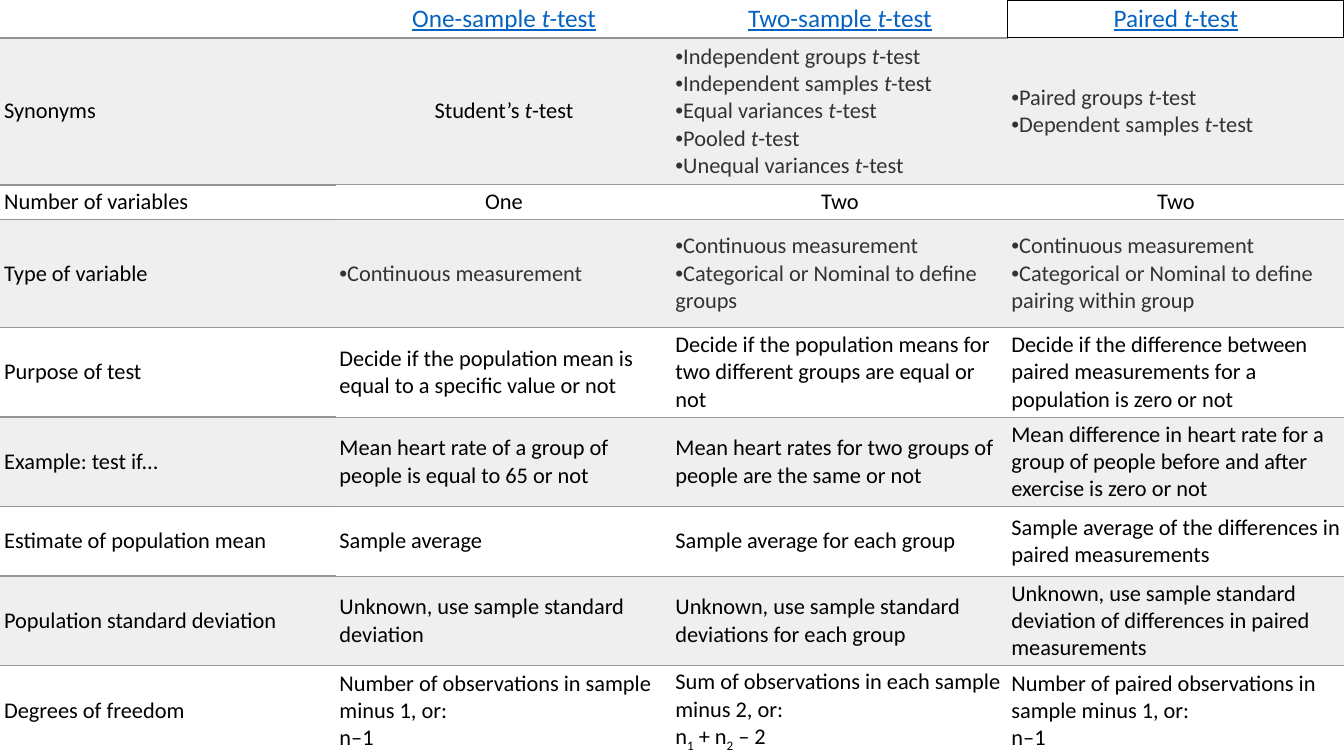
from lxml.etree import SubElement
from pptx import Presentation
from pptx.dml.color import RGBColor
from pptx.enum.text import MSO_ANCHOR, PP_ALIGN
from pptx.oxml.ns import qn
from pptx.util import Pt

COLORS = {
    "link": "0563C1", "text": "000000", "bullet": "333333",
    "band": "EFEFEF", "rule": "999999", "strong_rule": "929496", "frame": "000000",
}
FONT = "Calibri"
COLUMN_WIDTH = 240
ROW_HEIGHTS = [27, 105, 25, 77, 64, 64, 49.5, 64, 62.5]

# Inline marks: *italic*, _subscript_; a line that starts with "•" is a bullet.
ROWS = [
    ["", "One-sample\u00a0*t-*test", "Two-sample\u00a0*t-*test", "Paired\u00a0*t-*test"],
    ["Synonyms",
     "Student’s\u00a0*t*-test",
     ["•Independent groups\u00a0*t*-test", "•Independent samples\u00a0*t-*test",
      "•Equal variances\u00a0*t*-test", "•Pooled\u00a0*t*-test",
      "•Unequal variances\u00a0*t*-test"],
     ["•Paired groups\u00a0*t-*test", "•Dependent samples\u00a0*t*-test"]],
    ["Number of variables", "One", "Two", "Two"],
    ["Type of variable",
     "•Continuous measurement",
     ["•Continuous measurement", "•Categorical or Nominal to define groups"],
     ["•Continuous measurement", "•Categorical or Nominal to define pairing within group"]],
    ["Purpose of test",
     "Decide if the population mean is equal to a specific value or not",
     "Decide if the population means for two different groups are equal or not",
     "Decide if the difference between paired measurements for a population is zero or not"],
    ["Example: test if...",
     "Mean heart rate of a group of people is equal to 65 or not",
     "Mean heart rates for two groups of people are the same or not",
     "Mean difference in heart rate for a group of people before and after exercise "
     "is zero or not"],
    ["Estimate of population mean",
     "Sample average",
     "Sample average for each group",
     "Sample average of the differences in paired measurements"],
    ["Population standard deviation",
     "Unknown, use sample standard deviation",
     "Unknown, use sample standard deviations for each group",
     "Unknown, use sample standard deviation of differences in paired measurements"],
    ["Degrees of freedom",
     "Number of observations in sample minus 1, or:\nn–1",
     "Sum of observations in each sample minus 2, or:\nn_1_\u00a0+ n_2_\u00a0– 2",
     "Number of paired observations in sample minus 1, or:\nn–1"],
]
CENTERED = {(1, 1), (2, 1), (2, 2), (2, 3)}


def split_marks(text):
    """Yield (piece, italic, subscript) for text with inline marks."""
    for i, outer in enumerate(text.split("*")):
        for j, piece in enumerate(outer.split("_")):
            if piece:
                yield piece, i % 2 == 1, j % 2 == 1


def write_text(paragraph, text, size=16, color="text", underline=False, align=PP_ALIGN.LEFT):
    """Fill a paragraph with formatted runs and line breaks."""
    paragraph.alignment = align
    paragraph.font.size = Pt(size)
    for piece, italic, subscript in split_marks(text):
        for index, line in enumerate(piece.split("\n")):
            if index:
                paragraph.add_line_break()
            run = paragraph.add_run()
            run.text = line
            run.font.name = FONT
            run.font.size = Pt(size)
            run.font.italic = italic
            run.font.underline = underline
            run.font.color.rgb = RGBColor.from_string(COLORS[color])
            if subscript:
                run.font._element.set("baseline", "-25000")


def add_bullet(paragraph):
    """Give a paragraph a bullet that sits right before its text."""
    properties = paragraph._p.get_or_add_pPr()
    properties.set("marL", "0")
    properties.set("indent", "0")
    SubElement(properties, qn("a:buFont"), typeface="Arial")
    SubElement(properties, qn("a:buChar"), char="•")


def set_border(cell, side, rule):
    """Draw one cell side as (color name, width), or clear it for None."""
    width = rule[1] if rule else 0
    line = SubElement(cell._tc.get_or_add_tcPr(), qn(f"a:ln{side}"), w=str(Pt(width)))
    if rule:
        fill = SubElement(line, qn("a:solidFill"))
        SubElement(fill, qn("a:srgbClr"), val=COLORS[rule[0]])
    else:
        SubElement(line, qn("a:noFill"))


def rule_below(row, column):
    """Return the rule under a row; row -1 is the top edge of the table."""
    if column == 3 and row < 1:
        return "frame", 0.75
    if row < 0:
        return None
    if row == 0 or column == 0:
        return "strong_rule", 1.2
    return "rule", 0.6


def style_cell(cell, row, column):
    """Set margins, borders and band fill of a cell."""
    cell.vertical_anchor = MSO_ANCHOR.MIDDLE
    side_margin = 3 if row == 0 or column == 0 else 2.5
    cell.margin_left = cell.margin_right = Pt(side_margin)
    cell.margin_top = cell.margin_bottom = Pt(2)
    frame = ("frame", 0.75) if (row, column) == (0, 3) else None
    set_border(cell, "L", frame)
    set_border(cell, "R", frame or (("frame", 0.75) if (row, column) == (0, 2) else None))
    set_border(cell, "T", rule_below(row - 1, column))
    set_border(cell, "B", rule_below(row, column))
    if row % 2:
        cell.fill.solid()
        cell.fill.fore_color.rgb = RGBColor.from_string(COLORS["band"])
    else:
        cell.fill.background()


def fill_cell(cell, content, row, column):
    """Write the lines of a cell, as heading, bullets or plain text."""
    lines = [content] if isinstance(content, str) else content
    frame = cell.text_frame
    for index, line in enumerate(lines):
        paragraph = frame.add_paragraph() if index else frame.paragraphs[0]
        if row == 0:
            write_text(paragraph, line, size=18, color="link", underline=True,
                       align=PP_ALIGN.CENTER)
        elif line.startswith("•"):
            write_text(paragraph, line[1:], color="bullet")
            add_bullet(paragraph)
        else:
            centered = (row, column) in CENTERED
            write_text(paragraph, line, align=PP_ALIGN.CENTER if centered else PP_ALIGN.LEFT)


def add_comparison_table(slide):
    """Add the table that compares the three t-tests."""
    column_count = len(ROWS[0])
    table = slide.shapes.add_table(
        len(ROWS), column_count, Pt(0), Pt(0),
        Pt(COLUMN_WIDTH * column_count), Pt(sum(ROW_HEIGHTS))).table
    table.first_row = table.horz_banding = False
    for column in table.columns:
        column.width = Pt(COLUMN_WIDTH)
    for row, (height, contents) in enumerate(zip(ROW_HEIGHTS, ROWS)):
        table.rows[row].height = Pt(height)
        for column, content in enumerate(contents):
            cell = table.cell(row, column)
            style_cell(cell, row, column)
            fill_cell(cell, content, row, column)


def main():
    """Build and save the slide."""
    presentation = Presentation()
    presentation.slide_width, presentation.slide_height = Pt(960), Pt(540)
    slide = presentation.slides.add_slide(presentation.slide_layouts[6])
    add_comparison_table(slide)
    presentation.save("out.pptx")


main()
